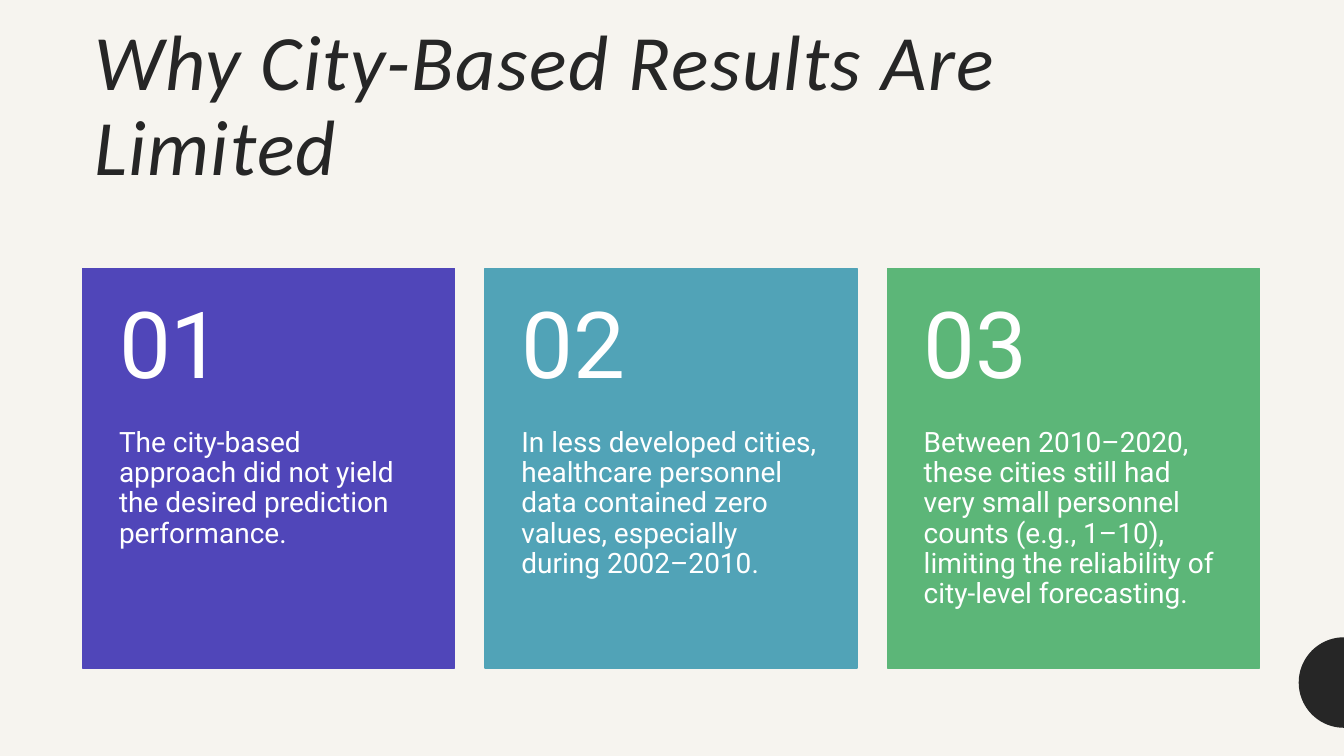
from math import cos, pi, sin

from pptx import Presentation
from pptx.dml.color import RGBColor
from pptx.enum.shapes import MSO_SHAPE as Shape
from pptx.enum.text import MSO_ANCHOR as Anchor, PP_ALIGN as Align
from pptx.util import Cm, Pt

COLORS = {
    "paper": "F6F4EF",
    "ink": "262626",
    "white": "FFFFFF",
    "violet": "5046B9",
    "teal": "51A3B7",
    "green": "5CB678",
}


def paint(fill, color):
    fill.solid()
    fill.fore_color.rgb = RGBColor.from_string(COLORS[color])


def add_text(parent, place, text, font, size, color, anchor, insets):
    box = parent.add_textbox(*(Cm(length) for length in place))
    frame = box.text_frame
    frame.word_wrap = True
    frame.vertical_anchor = anchor
    frame.margin_left, frame.margin_top, frame.margin_right, frame.margin_bottom = (
        Cm(inset) for inset in insets)
    frame.text = text
    para = frame.paragraphs[0]
    para.alignment = Align.LEFT
    para.line_spacing = 0.9
    span = para.runs[0]
    span.font.name = font
    span.font.size = Pt(size)
    span.font.color.rgb = RGBColor.from_string(COLORS[color])
    return span


deck = Presentation()
deck.slide_width, deck.slide_height = Cm(33.87), Cm(19.05)
page = deck.slides.add_slide(deck.slide_layouts[6])
paint(page.background.fill, "paper")

# Title
title = add_text(page.shapes, (2.12, 1.16, 29.63, 3.81), "Why City-Based Results Are Limited",
                 "Calibri", 56, "ink", Anchor.BOTTOM, (0.25, 0.13, 0.25, 0.13))
title.font.italic = True
title._r.get_or_add_rPr().set("spc", "100")

# Half disc on the right edge
center_x, center_y, radius, steps = 33.87, 17.2, 1.14, 48
arc = [(Cm(center_x - radius * sin(pi * step / steps)),
        Cm(center_y - radius * cos(pi * step / steps))) for step in range(steps + 1)]
builder = page.shapes.build_freeform(*arc[0])
builder.add_line_segments(arc[1:], close=True)
half_disc = builder.convert_to_shape()
half_disc.shadow.inherit = False
paint(half_disc.fill, "ink")
half_disc.line.fill.background()

# Numbered cards
cards = [
    ("violet", "The city-based approach did not yield the desired prediction performance."),
    ("teal", "In less developed cities, healthcare personnel data contained zero values, "
             "especially during 2002–2010."),
    ("green", "Between 2010–2020, these cities still had very small personnel counts "
              "(e.g., 1–10), limiting the reliability of city-level forecasting."),
]
first_left, top, width, height, pitch = 2.08, 6.76, 9.38, 10.07, 10.14
number_height = 4.03
for index, (color, reason) in enumerate(cards):
    left = first_left + index * pitch
    group = page.shapes.add_group_shape().shapes
    card = group.add_shape(Shape.RECTANGLE, Cm(left), Cm(top), Cm(width), Cm(height))
    card.shadow.inherit = False
    paint(card.fill, color)
    paint(card.line.fill, color)
    card.line.width = Pt(1)
    add_text(group, (left, top + number_height, width, height - number_height), reason,
             "Roboto", 20, "white", Anchor.TOP, (0.92, 0, 0.92, 0.92))
    add_text(group, (left, top, width, number_height), f"{index + 1:02}",
             "Roboto", 66, "white", Anchor.MIDDLE, (0.92, 0.46, 0.92, 0.46))

deck.save("out.pptx")
